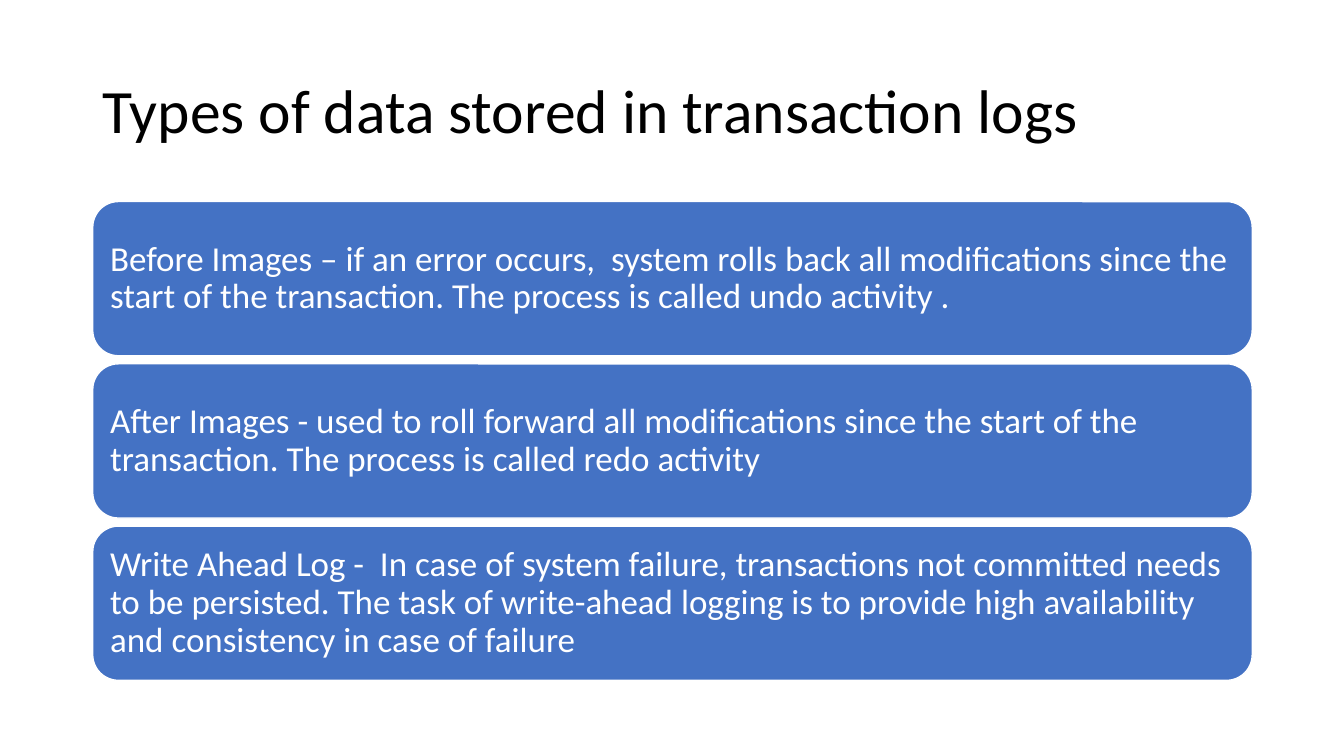
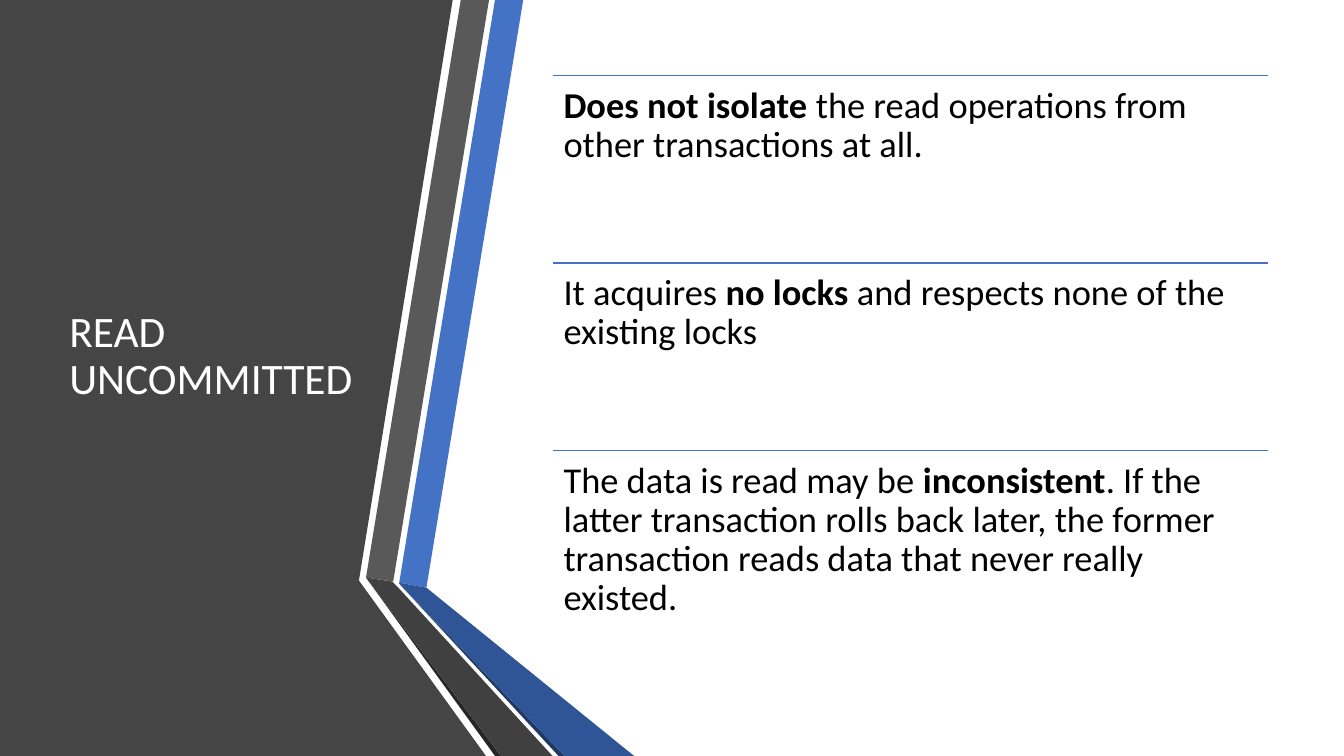
from pptx import Presentation
from pptx.dml.color import RGBColor
from pptx.enum.shapes import MSO_CONNECTOR, MSO_SHAPE
from pptx.enum.text import MSO_ANCHOR, PP_ALIGN
from pptx.oxml.ns import qn
from pptx.util import Inches, Pt
from lxml.etree import SubElement

FONT = "Calibri"
BLACK, WHITE, BLUE = "000000", "FFFFFF", "4472C4"

LOG_TITLE = "Types of data stored in transaction logs"
LOG_TYPES = [
    "Before Images – if an error occurs,  system rolls back all modifications since the "
    "start of the transaction. The process is called undo activity .",
    "After Images - used to roll forward all modifications since the start of the "
    "transaction. The process is called redo activity",
    "Write Ahead Log -  In case of system failure, transactions not committed needs to be "
    "persisted. The task of write-ahead logging is to provide high availability and "
    "consistency in case of failure",
]

ISOLATION_TITLE = "READ UNCOMMITTED"
# Each point is a list of (text, bold) runs.
ISOLATION_POINTS = [
    [("Does not isolate ", True),
     ("the read operations from other transactions at all.", False)],
    [("It acquires ", False), ("no locks ", True),
     ("and respects none of the existing locks", False)],
    [("The data is read may be ", False), ("inconsistent", True),
     (". If the latter transaction rolls back later, the former transaction reads data "
      "that never really existed.", False)],
]

# Fill and corner points in inches, from back to front.
RIBBONS = [
    ("454545", [(0, 0), (4.49, 0), (3.56, 5.76), (4.82, 7.5), (0, 7.5)]),
    (BLUE, [(3.96, 5.78), (4.23, 5.83), (5.19, 0), (4.91, 0)]),
    ("595959", [(4.85, 0), (4.57, 0), (3.63, 5.73), (3.9, 5.77)]),
    ("262626", [(3.63, 5.73), (4.91, 7.5), (4.97, 7.5)]),
    ("203864", [(3.96, 5.79), (5.54, 7.5), (5.6, 7.5)]),
    ("2F5597", [(3.96, 5.79), (5.6, 7.5), (6.29, 7.5), (4.23, 5.83), (3.96, 5.78)]),
    ("404040", [(5.48, 7.5), (3.95, 5.83), (3.89, 5.77), (3.63, 5.73), (4.97, 7.5)]),
]


def rgb(value):
    return RGBColor.from_string(value)


def fill_shape(sp, color):
    sp.shadow.inherit = False
    sp.fill.solid()
    sp.fill.fore_color.rgb = rgb(color)


def write(sp, runs, size, color, anchor=MSO_ANCHOR.MIDDLE, side=0.1, top=0.05):
    """Put (text, bold) runs into a shape as one left-aligned paragraph."""
    tf = sp.text_frame
    tf.word_wrap = True
    tf.vertical_anchor = anchor
    tf.margin_left = tf.margin_right = Inches(side)
    tf.margin_top = tf.margin_bottom = Inches(top)
    p = tf.paragraphs[0]
    p.alignment = PP_ALIGN.LEFT
    p.line_spacing = 0.9
    for text, bold in runs:
        r = p.add_run()
        r.text = text
        r.font.name = FONT
        r.font.size = Pt(size)
        r.font.bold = bold
        r.font.color.rgb = rgb(color)


def add_text(s, box, runs, size, color, **layout):
    sp = s.shapes.add_textbox(*map(Inches, box))
    write(sp, runs, size, color, **layout)


def add_title(s, box, text, size, color):
    add_text(s, box, [(text, False)], size, color)


def add_ribbon(s, color, points):
    corners = [(Inches(x), Inches(y)) for x, y in points]
    builder = s.shapes.build_freeform(*corners[0])
    builder.add_line_segments(corners[1:], close=True)
    sp = builder.convert_to_shape()
    fill_shape(sp, color)
    sp.line.fill.background()


def add_rule(s, left, right, y):
    line = s.shapes.add_connector(
        MSO_CONNECTOR.STRAIGHT, Inches(left), Inches(y), Inches(right), Inches(y))
    line.line.color.rgb = rgb(BLUE)
    line.line.width = Pt(1)
    SubElement(line._element.spPr, qn("a:effectLst"))


def build_log_types(s):
    add_title(s, (0.92, 0.4, 11.5, 1.45), LOG_TITLE, 44, BLACK)
    top, height, pitch = 2, 1.53, 1.61
    for i, text in enumerate(LOG_TYPES):
        card = s.shapes.add_shape(
            MSO_SHAPE.ROUNDED_RECTANGLE,
            *map(Inches, (0.92, top + i * pitch, 11.5, height)))
        fill_shape(card, BLUE)
        card.line.color.rgb = rgb(WHITE)
        card.line.width = Pt(1)
        write(card, [(text, False)], 25, WHITE, top=0.1)


def build_isolation(s):
    for color, points in RIBBONS:
        add_ribbon(s, color, points)
    add_title(s, (0.59, 0.75, 3.04, 5.58), ISOLATION_TITLE, 31, WHITE)
    left, width, top, height = 5.48, 7.1, 0.75, 1.86
    for i, runs in enumerate(ISOLATION_POINTS):
        y = top + i * height
        add_rule(s, left, left + width, y)
        add_text(s, (left, y, width, height), runs, 26, BLACK,
                 anchor=MSO_ANCHOR.TOP, side=0.11, top=0.11)


def main():
    prs = Presentation()
    prs.slide_width, prs.slide_height = Inches(13.33), Inches(7.5)
    blank = prs.slide_layouts[6]
    for build in (build_log_types, build_isolation):
        build(prs.slides.add_slide(blank))
    prs.save("out.pptx")


if __name__ == "__main__":
    main()
